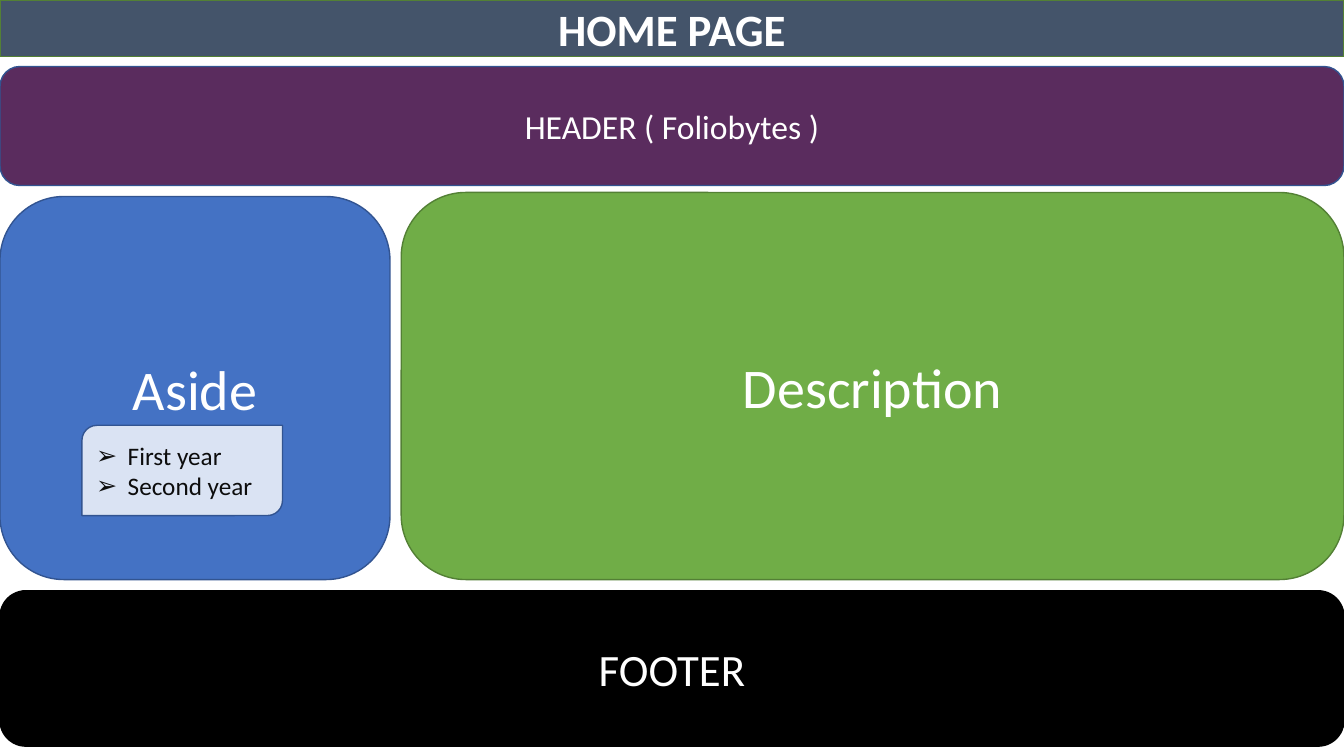
from dataclasses import dataclass

from lxml.etree import SubElement
from pptx import Presentation
from pptx.dml.color import RGBColor
from pptx.enum.shapes import MSO_SHAPE as Preset
from pptx.enum.text import MSO_ANCHOR as Anchor, MSO_AUTO_SIZE as AutoSize, PP_ALIGN as Align
from pptx.oxml.ns import qn
from pptx.shapes.autoshape import Shape
from pptx.slide import Slide
from pptx.util import Pt

WHITE = RGBColor(0xFF, 0xFF, 0xFF)
BLACK = RGBColor(0x00, 0x00, 0x00)
INK = RGBColor(0x0D, 0x0D, 0x0D)
SLATE = RGBColor(0x44, 0x54, 0x6A)
PLUM = RGBColor(0x5A, 0x2C, 0x5E)
GREEN = RGBColor(0x70, 0xAD, 0x47)
BLUE = RGBColor(0x44, 0x72, 0xC4)
PALE_BLUE = RGBColor(0xDA, 0xE3, 0xF3)
GREEN_EDGE = RGBColor(0x53, 0x80, 0x35)
BLUE_EDGE = RGBColor(0x32, 0x54, 0x91)

PAGE_WIDTH, PAGE_HEIGHT = 960, 540
COLUMNS_BOTTOM = 414
ASIDE_WIDTH, DESCRIPTION_LEFT = 278.6, 286.6
ASIDE_TOP, DESCRIPTION_TOP = 140.4, 137.5
BULLET_INDENT = 22.5


@dataclass(frozen=True)
class Section:
    """One region of the page layout; lengths are in points."""

    lines: tuple[str, ...]
    left: float
    top: float
    width: float
    height: float
    fill: RGBColor
    edge: RGBColor
    size: float
    color: RGBColor = WHITE
    bold: bool = False
    bulleted: bool = False
    preset: Preset = Preset.ROUNDED_RECTANGLE


TITLE = Section(("HOME PAGE",), 0, 0, PAGE_WIDTH, 40.3, SLATE, GREEN_EDGE, 32, bold=True)
SECTIONS = (
    Section(("HEADER ( Foliobytes )",), 0, 47.5, PAGE_WIDTH, 85, PLUM, BLUE_EDGE, 24),
    Section(("Description",), DESCRIPTION_LEFT, DESCRIPTION_TOP, PAGE_WIDTH - DESCRIPTION_LEFT,
            COLUMNS_BOTTOM - DESCRIPTION_TOP, GREEN, GREEN_EDGE, 40),
    Section(("Aside",), 0, ASIDE_TOP, ASIDE_WIDTH,
            COLUMNS_BOTTOM - ASIDE_TOP, BLUE, BLUE_EDGE, 40),
    Section(("FOOTER",), 0, 422, PAGE_WIDTH, 111, BLACK, BLACK, 32),
    Section(("First year", "Second year"), 58.5, 303.8, 143.3, 64.5, PALE_BLUE, BLUE_EDGE, 18,
            color=INK, bulleted=True, preset=Preset.ROUND_2_DIAG_RECTANGLE),
)


def apply(target: object, values: dict[str, object]) -> None:
    """Set each named attribute of the target."""
    for name, value in values.items():
        setattr(target, name, value)


def place(shape: Shape, section: Section) -> None:
    """Move the shape to the section's place."""
    apply(shape, {name: Pt(getattr(section, name)) for name in ("left", "top", "width", "height")})


def add_bullet(paragraph: object) -> None:
    """Give the paragraph a hanging arrow bullet."""
    properties = paragraph._p.get_or_add_pPr()
    properties.set("marL", str(Pt(BULLET_INDENT)))
    properties.set("indent", str(-Pt(BULLET_INDENT)))
    SubElement(properties, qn("a:buFont"), typeface="Arial")
    SubElement(properties, qn("a:buChar"), char="\u27a2")


def format_section(shape: Shape, section: Section) -> None:
    """Colour the shape and write the section's lines in it."""
    shape.shadow.inherit = False
    shape.fill.solid()
    shape.fill.fore_color.rgb = section.fill
    shape.line.color.rgb = section.edge
    shape.line.width = Pt(1)
    frame = shape.text_frame
    apply(frame, {"text": "\n".join(section.lines), "word_wrap": True,
                  "auto_size": AutoSize.NONE, "vertical_anchor": Anchor.MIDDLE,
                  "margin_top": Pt(0), "margin_bottom": Pt(0)})
    for paragraph in frame.paragraphs:
        apply(paragraph, {"alignment": Align.LEFT if section.bulleted else Align.CENTER,
                          "line_spacing": 1.0, "space_before": Pt(0)})
        if section.bulleted:
            add_bullet(paragraph)
        for run in paragraph.runs:
            apply(run.font, {"name": "Calibri", "size": Pt(section.size), "bold": section.bold})
            run.font.color.rgb = section.color


def format_title(slide: Slide) -> None:
    """Turn the title placeholder into the rounded page bar."""
    title = slide.shapes.title
    place(title, TITLE)
    outline = SubElement(title.element.spPr, qn("a:prstGeom"), prst="roundRect")
    SubElement(outline, qn("a:avLst"))
    format_section(title, TITLE)


def add_section(slide: Slide, section: Section) -> None:
    """Draw one section of the page."""
    shape = slide.shapes.add_shape(section.preset, 0, 0, 0, 0)
    place(shape, section)
    format_section(shape, section)


def main() -> None:
    """Build the page layout slide and save it."""
    deck = Presentation()
    apply(deck, {"slide_width": Pt(PAGE_WIDTH), "slide_height": Pt(PAGE_HEIGHT)})
    slide = deck.slides.add_slide(deck.slide_layouts.get_by_name("Title Only"))
    format_title(slide)
    for section in SECTIONS:
        add_section(slide, section)
    deck.save("out.pptx")


main()
